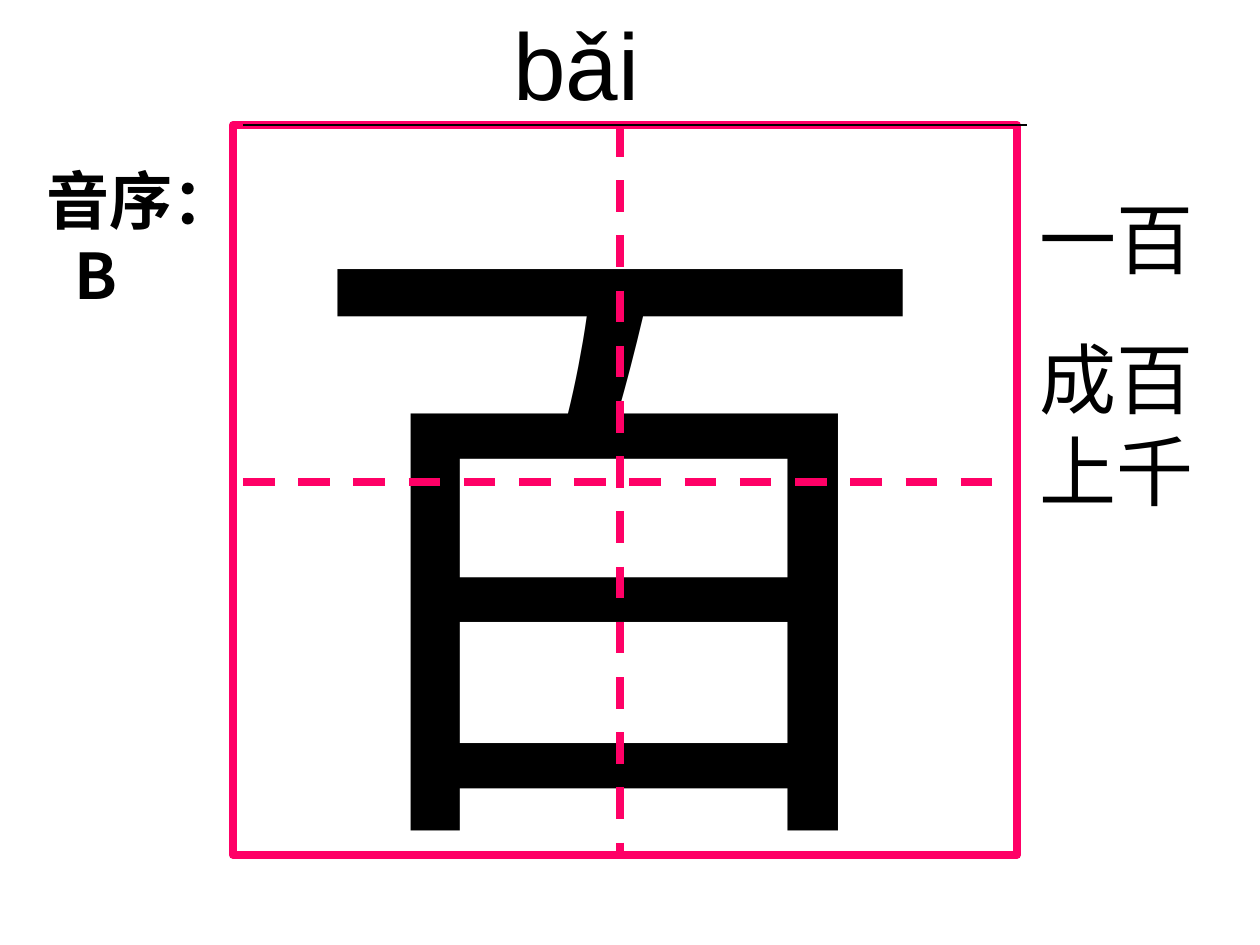
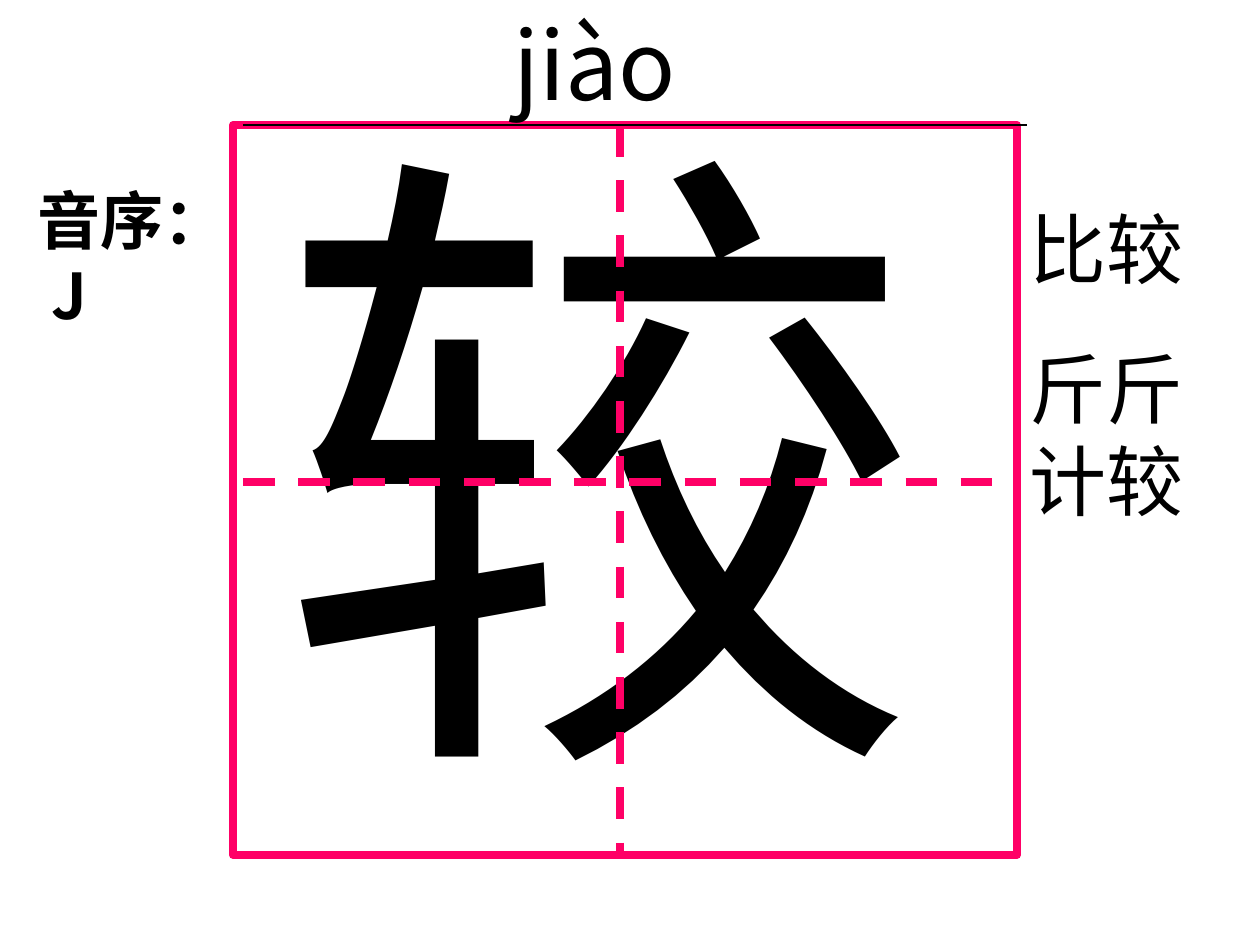
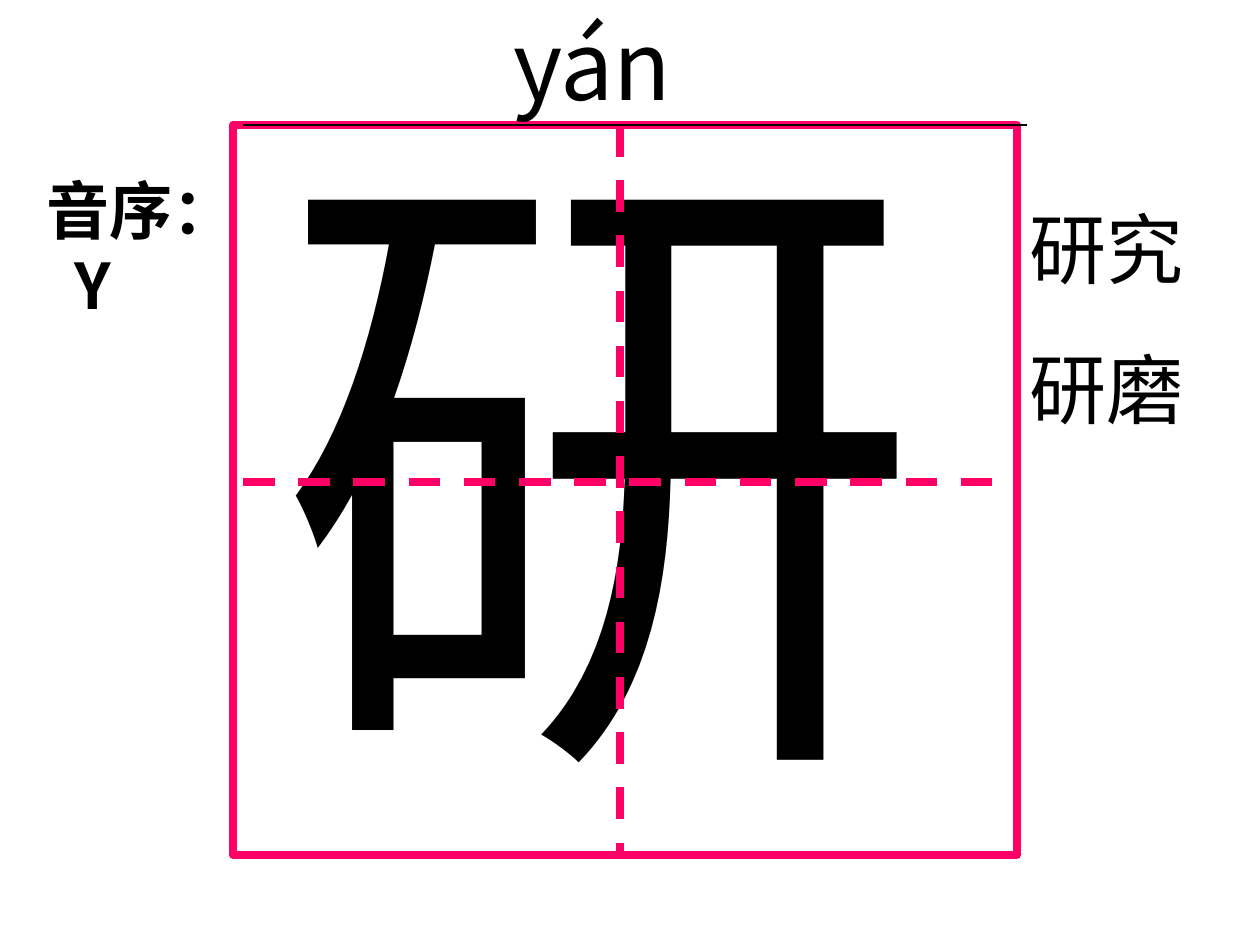
from lxml import etree
from pptx import Presentation
from pptx import util as u
from pptx.dml.color import RGBColor
from pptx.enum import dml, shapes, text
from pptx.oxml.ns import qn

SCALE = 914400 / 126
COLORS = {"ink": "000000", "grid": "FF0066", "paper": "FFFFFF"}
SERIF, SANS, CJK = "Times New Roman", "Arial", "Noto Sans CJK SC"
SPACE_WIDTH = 14


def px(n):
    return u.Emu(round(n * SCALE))


def rgb(name):
    return RGBColor.from_string(COLORS[name])


class Deck:
    def __init__(self):
        self.prs = Presentation()
        self.prs.slide_width, self.prs.slide_height = px(1260), px(945)
        self.s = None

    def slide(self):
        self.s = self.prs.slides.add_slide(self.prs.slide_layouts[6])
        fill = self.s.background.fill
        fill.solid()
        fill.fore_color.rgb = rgb("paper")

    def text(self, box, lines, size, font, bold=False, wrap=True, before=0, indent=0):
        tf = self.s.shapes.add_textbox(*map(px, box)).text_frame
        tf.word_wrap = wrap
        tf.auto_size = text.MSO_AUTO_SIZE.SHAPE_TO_FIT_TEXT
        for i, line in enumerate(lines):
            p = tf.add_paragraph() if i else tf.paragraphs[0]
            if i and before:
                p.space_before = u.Pt(before)
            if i and indent:
                p._p.get_or_add_pPr().set("marL", str(px(indent)))
            r = p.add_run()
            r.text = line
            r.font.size, r.font.name, r.font.bold = u.Pt(size), font, bold
            r.font.color.rgb = rgb("ink")
            ea = etree.SubElement(r._r.get_or_add_rPr(), qn("a:ea"))
            ea.set("typeface", CJK)

    def frame(self, box):
        sp = self.s.shapes.add_shape(shapes.MSO_SHAPE.RECTANGLE, *map(px, box))
        sp.shadow.inherit = False
        sp.fill.background()
        sp.line.color.rgb = rgb("grid")
        sp.line.width = u.Pt(4.5)

    def line(self, group, ends, color, width, dashed=False):
        c = group.shapes.add_connector(shapes.MSO_CONNECTOR.STRAIGHT, *map(px, ends))
        c.line.color.rgb = rgb(color)
        c.line.width = u.Pt(width)
        if dashed:
            c.line.dash_style = dml.MSO_LINE.DASH
        etree.SubElement(c._element.spPr, qn("a:effectLst"))

    def writing_grid(self):
        self.frame((233, 125, 784, 730))
        group = self.s.shapes.add_group_shape()
        self.line(group, (243, 482, 1017, 482), "grid", 4.5, dashed=True)
        self.line(group, (620, 125, 620, 855), "grid", 4.5, dashed=True)
        self.line(group, (243, 125, 1027, 125), "ink", 0.75)

    def card(self, char, char_at, pinyin, pinyin_font, words, words_box,
             initial, initial_box, spaces):
        self.slide()
        self.text((*char_at, 673, 790), [char], 370, SERIF, wrap=False)
        self.writing_grid()
        self.text((501, 0, 486, 126), [pinyin], 54, pinyin_font)
        self.text(words_box, words, 44, SANS, before=27.5)
        self.text(initial_box, ["音序：", initial], 36, CJK, bold=True,
                  indent=spaces * SPACE_WIDTH)


def main():
    deck = Deck()
    deck.card("百", (284, 125), "bǎi", SANS, ["一百", "成百上千"],
              (1027, 185, 213, 338), "B", (34, 155, 197, 164), 2)
    deck.card("较", (263, 55), "jiào", CJK, ["比较", "斤斤计较"],
              (1017, 195, 213, 338), "J", (25, 175, 186, 164), 1)
    deck.card("研", (263, 55), "yán", CJK, ["研究", "研磨"],
              (1017, 195, 213, 246), "Y", (34, 165, 186, 164), 2)
    deck.prs.save("out.pptx")


if __name__ == "__main__":
    main()
